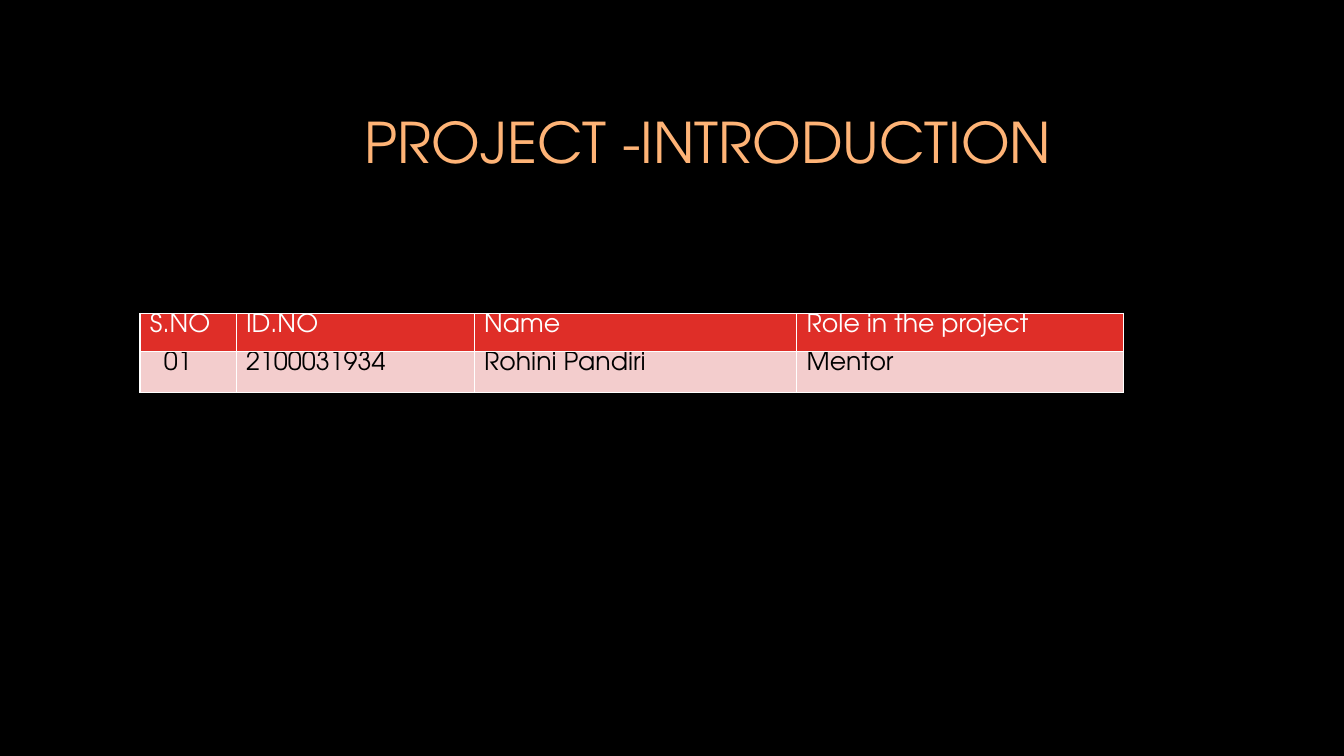
import pptx
import pptx.dml.color
import pptx.enum.text
import pptx.oxml
import pptx.oxml.ns
import pptx.util
from pptx.util import Cm

FONT = "TeX Gyre Adventor"
COLORS = {
    "background": "000000",
    "title": "FEB376",
    "header": "DF2E28",
    "row": "F3CDCD",
    "light": "FFFFFF",
    "dark": "000000",
}
COLUMN_WIDTHS = [2.42, 6.0, 8.13, 8.23]
ROW_HEIGHTS = [0.96, 1.04]
MEMBERS = [
    ["S.NO", "ID.NO", "Name", "Role in the project"],
    ["01", "2100031934", "Rohini Pandiri", "Mentor"],
]


def rgb(name):
    return pptx.dml.color.RGBColor.from_string(COLORS[name])


def add_span(para, text, size, color):
    span = para.add_run()
    span.text = text
    span.font.name = FONT
    span.font.size = pptx.util.Pt(size)
    span.font.bold = False
    span.font.color.rgb = rgb(color)


def set_title(page, text):
    box = page.shapes.title
    box.left, box.top, box.width, box.height = Cm(2.82), Cm(1.88), Cm(23.93), Cm(3.58)
    frame = box.text_frame
    frame.word_wrap = True
    frame.auto_size = pptx.enum.text.MSO_AUTO_SIZE.NONE
    frame.vertical_anchor = pptx.enum.text.MSO_ANCHOR.MIDDLE
    para = frame.paragraphs[0]
    para.alignment = pptx.enum.text.PP_ALIGN.RIGHT
    para.line_spacing = 0.9
    add_span(para, text, 40, "title")


def add_borders(cell, color, points):
    properties = cell._tc.get_or_add_tcPr()
    for side in ("L", "R", "T", "B"):
        properties.append(pptx.oxml.parse_xml(
            f'<a:ln{side} {pptx.oxml.ns.nsdecls("a")} w="{pptx.util.Pt(points)}">'
            f'<a:solidFill><a:srgbClr val="{COLORS[color]}"/></a:solidFill></a:ln{side}>'))


def fill_cell(cell, text, fill, color, indent):
    add_borders(cell, "light", 1)
    cell.fill.solid()
    cell.fill.fore_color.rgb = rgb(fill)
    cell.margin_left = Cm(indent)
    cell.margin_top = cell.margin_bottom = 0
    add_span(cell.text_frame.paragraphs[0], text, 18, color)


def add_member_table(page):
    frame = page.shapes.add_table(
        len(ROW_HEIGHTS), len(COLUMN_WIDTHS), Cm(3.53), Cm(7.9),
        Cm(sum(COLUMN_WIDTHS)), Cm(sum(ROW_HEIGHTS)))
    table = frame.table
    for column, width in zip(table.columns, COLUMN_WIDTHS):
        column.width = Cm(width)
    for r, (height, texts) in enumerate(zip(ROW_HEIGHTS, MEMBERS)):
        table.rows[r].height = Cm(height)
        fill, color = ("row", "dark") if r else ("header", "light")
        for c, text in enumerate(texts):
            # Serial numbers sit slightly inside their column
            indent = 0.6 if r and c == 0 else 0.25
            fill_cell(table.cell(r, c), text, fill, color, indent)


def main():
    deck = pptx.Presentation()
    deck.slide_width, deck.slide_height = Cm(33.87), Cm(19.05)
    page = deck.slides.add_slide(deck.slide_layouts[5])

    # Background
    page.background.fill.solid()
    page.background.fill.fore_color.rgb = rgb("background")

    # Title and project members
    set_title(page, "PROJECT -INTRODUCTION")
    add_member_table(page)
    deck.save("out.pptx")


if __name__ == "__main__":
    main()
